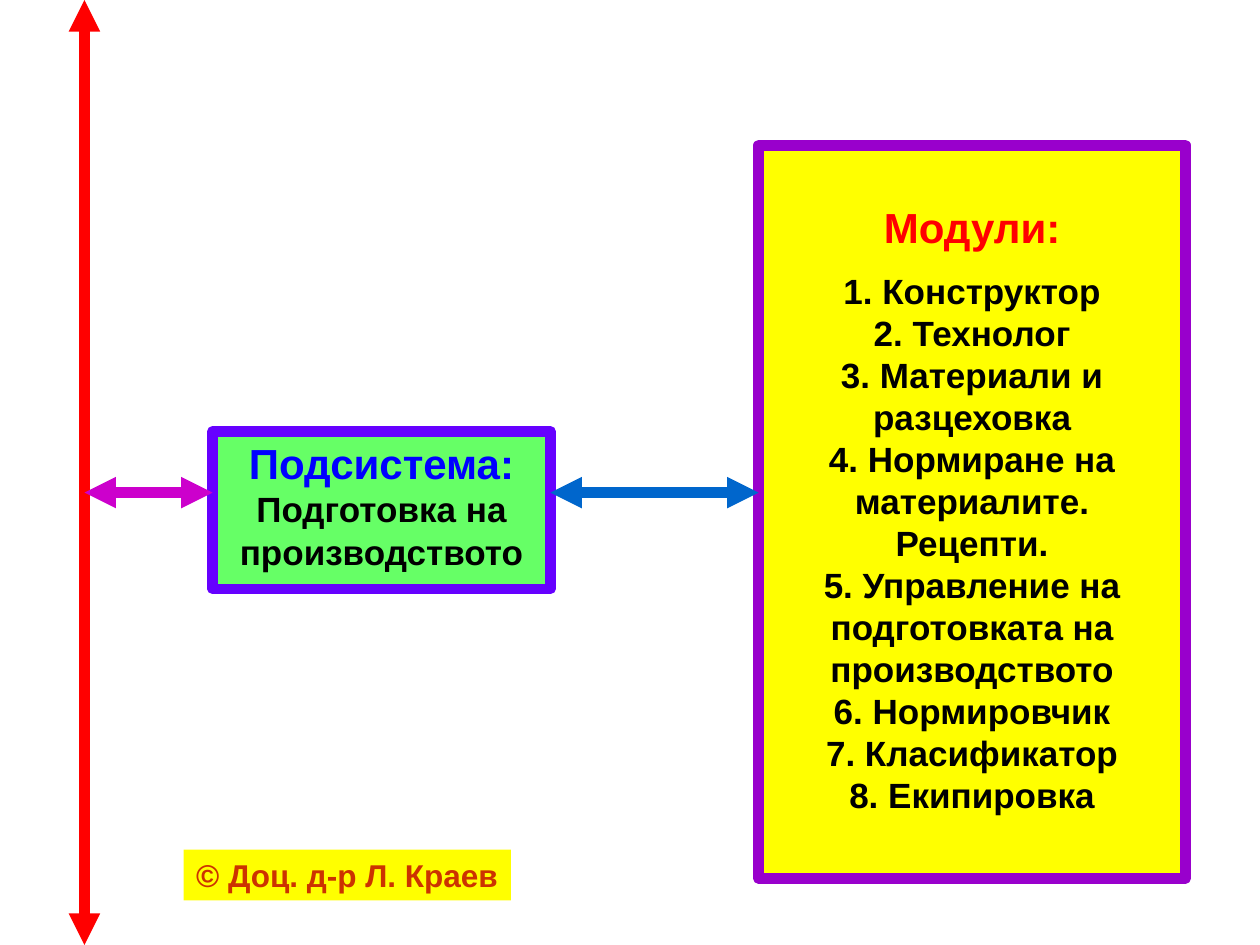
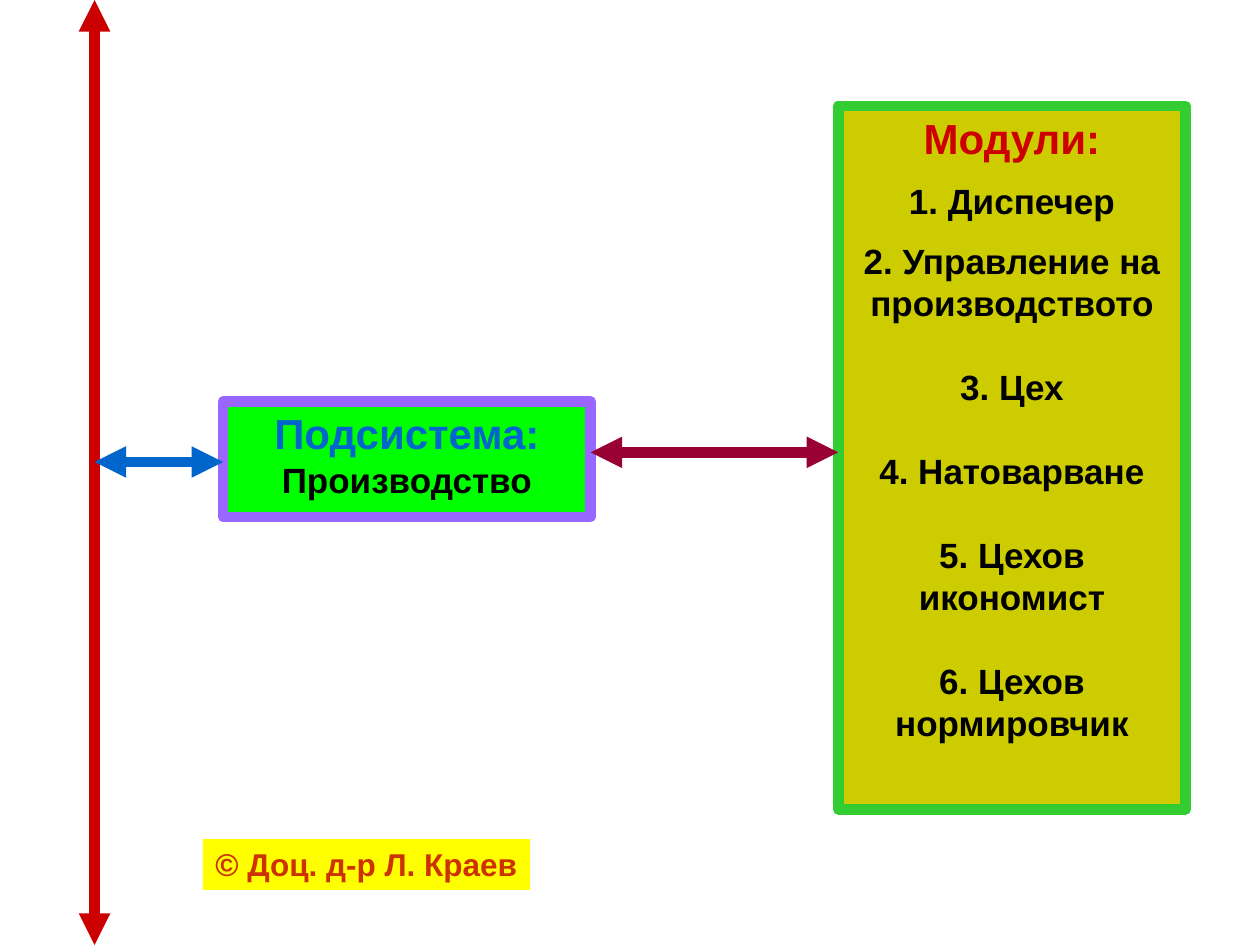
from lxml import etree
from pptx import Presentation
from pptx.dml.color import RGBColor
from pptx.enum.shapes import MSO_CONNECTOR, MSO_SHAPE
from pptx.enum.text import MSO_ANCHOR, PP_ALIGN
from pptx.oxml.ns import qn
from pptx.util import Pt

RECTANGLE = MSO_SHAPE.RECTANGLE
STRAIGHT = MSO_CONNECTOR.STRAIGHT
TOP = MSO_ANCHOR.TOP
LEFT, CENTER = PP_ALIGN.LEFT, PP_ALIGN.CENTER

WIDTH, HEIGHT = 720, 540
FONT = "Arial"
HEADING, BODY, SMALL = 24, 20, 18
STROKE = 6
BLACK, YELLOW, RUST = "000000", "FFFF00", "CC3300"
COPYRIGHT = "© Доц. д-р Л. Краев"
COPYRIGHT_SIZE = (187, 29)

# Each list item: text, space before. Boxes: left, top, width, height.
SLIDES = [
    {
        "copyright_at": (105, 485.5),
        "axis": (48.25, "FF0000"),
        "subsystem": {
            "box": (121.5, 246.5, 193, 90), "fill": "66FF66", "line": "6600FF",
            "heading": "Подсистема:", "heading_color": "0000FF", "inset": 3.6,
            "items": [("Подготовка на\vпроизводството", 0)],
        },
        "modules": {
            "box": (433.5, 83, 244, 419), "fill": YELLOW, "line": "9900CC",
            "heading": "Модули:", "heading_color": "FF0000", "inset": 32,
            "items": [
                ("1. Конструктор", 10),
                ("2. Технолог", 0),
                ("3. Материали и\vразцеховка", 0),
                ("4. Нормиране на\vматериалите.\vРецепти.", 0),
                ("5. Управление на\vподготовката на\vпроизводството", 0),
                ("6. Нормировчик", 0),
                ("7. Класификатор", 0),
                ("8. Екипировка", 0),
            ],
        },
        "axis_link": (281.5, "CC00CC"),
        "modules_link": (281.5, "0066CC"),
    },
    {
        "copyright_at": (116, 479.5),
        "axis": (54, "CC0000"),
        "subsystem": {
            "box": (127.5, 229.5, 210, 66), "fill": "00FF00", "line": "9966FF",
            "heading": "Подсистема:", "heading_color": "0066CC", "inset": 3.6,
            "items": [("Производство", 0)],
        },
        "modules": {
            "box": (479, 60.5, 198.5, 402), "fill": "CCCC00", "line": "33CC33",
            "heading": "Модули:", "heading_color": "CC0000", "inset": 3.6,
            "items": [
                ("1. Диспечер", 10),
                ("2. Управление на\vпроизводството", 10),
                ("3. Цех", 24),
                ("4. Натоварване", 24),
                ("5. Цехов\vикономист", 24),
                ("6. Цехов\vнормировчик", 24),
            ],
        },
        "axis_link": (264, "0066CC"),
        "modules_link": (258.5, "990033"),
    },
]


def rgb(value):
    return RGBColor.from_string(value)


def add_rectangle(slide, box, fill, line=None):
    rectangle = slide.shapes.add_shape(RECTANGLE, *map(Pt, box))
    rectangle.shadow.inherit = False
    rectangle.fill.solid()
    rectangle.fill.fore_color.rgb = rgb(fill)
    if line:
        rectangle.line.color.rgb = rgb(line)
        rectangle.line.width = Pt(STROKE)
    else:
        rectangle.line.fill.background()
    rectangle.text_frame.vertical_anchor = TOP
    return rectangle


def write(paragraph, text, size, color, align=CENTER, before=0):
    paragraph.text = text
    paragraph.alignment = align
    paragraph.space_before = Pt(before)
    for run in paragraph.runs:
        run.font.name = FONT
        run.font.size = Pt(size)
        run.font.bold = True
        run.font.color.rgb = rgb(color)


def add_copyright(slide, position):
    frame = add_rectangle(slide, position + COPYRIGHT_SIZE, YELLOW).text_frame
    frame.word_wrap = False
    write(frame.paragraphs[0], COPYRIGHT, SMALL, RUST, LEFT)


def add_panel(slide, panel):
    frame = add_rectangle(slide, panel["box"], panel["fill"], panel["line"]).text_frame
    frame.word_wrap = True
    frame.margin_top = Pt(panel["inset"])
    write(frame.paragraphs[0], panel["heading"], HEADING, panel["heading_color"])
    for text, before in panel["items"]:
        write(frame.add_paragraph(), text, BODY, BLACK, before=before)


def add_double_arrow(slide, start, end, color):
    arrow = slide.shapes.add_connector(STRAIGHT, *map(Pt, start + end))
    arrow.line.color.rgb = rgb(color)
    arrow.line.width = Pt(STROKE)
    properties = arrow.element.spPr
    outline = properties.find(qn("a:ln"))
    for tip in ("a:headEnd", "a:tailEnd"):
        etree.SubElement(outline, qn(tip), type="triangle")
    etree.SubElement(properties, qn("a:effectLst"))


def build_slide(presentation, content):
    slide = presentation.slides.add_slide(presentation.slide_layouts[6])
    add_copyright(slide, content["copyright_at"])

    # Vertical axis over the full slide height
    axis_x, axis_color = content["axis"]
    add_double_arrow(slide, (axis_x, 0), (axis_x, HEIGHT), axis_color)

    # Subsystem and its modules
    subsystem, modules = content["subsystem"], content["modules"]
    add_panel(slide, subsystem)
    add_panel(slide, modules)

    # Links from axis to subsystem and from subsystem to modules
    left, _, width, _ = subsystem["box"]
    spans = {"axis_link": (axis_x, left),
             "modules_link": (left + width, modules["box"][0])}
    for link, (start_x, end_x) in spans.items():
        y, color = content[link]
        add_double_arrow(slide, (start_x, y), (end_x, y), color)


def main():
    presentation = Presentation()
    presentation.slide_width, presentation.slide_height = Pt(WIDTH), Pt(HEIGHT)
    for content in SLIDES:
        build_slide(presentation, content)
    presentation.save("out.pptx")


if __name__ == "__main__":
    main()
